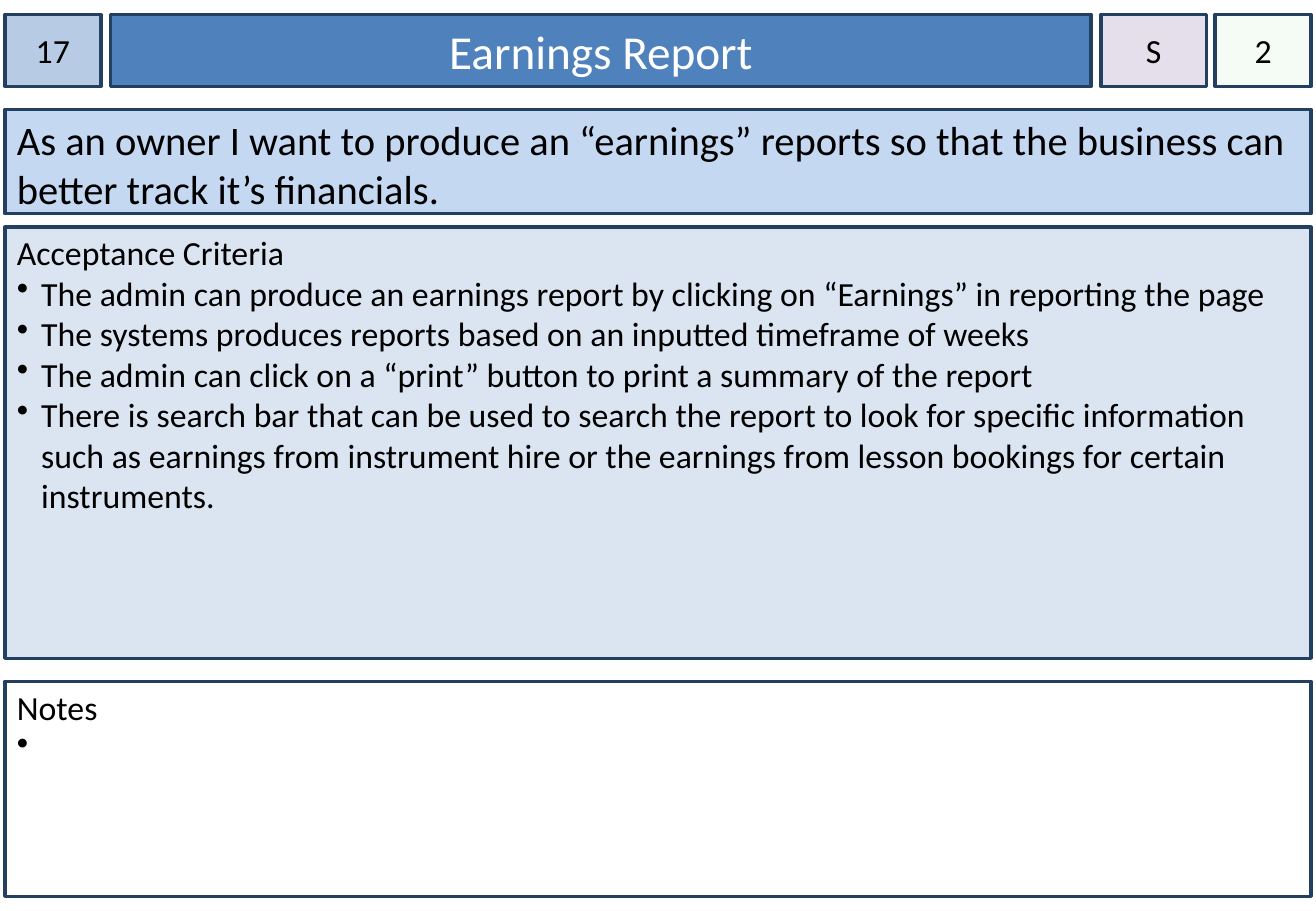
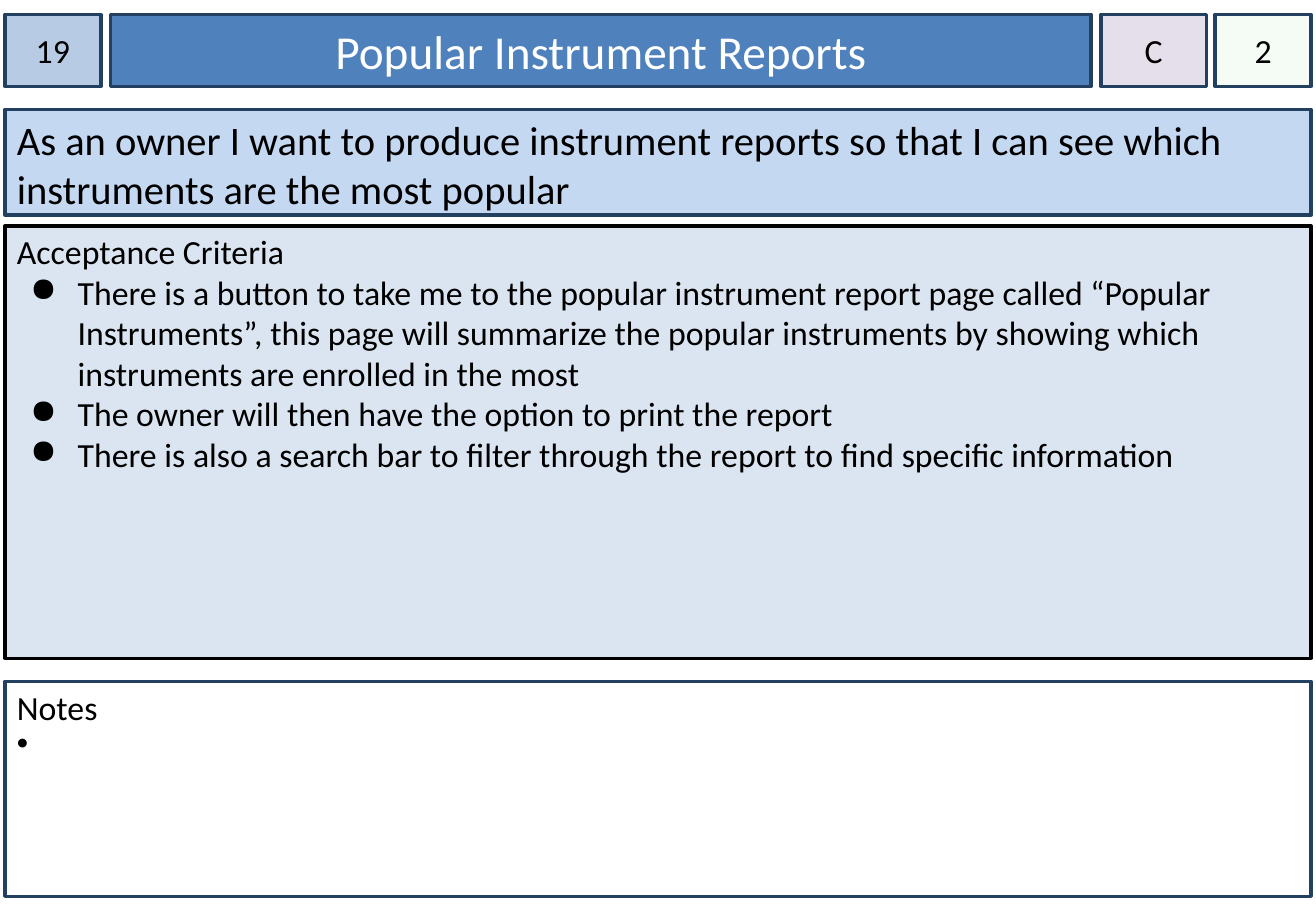
from lxml import etree
from pptx import Presentation
from pptx.dml.color import RGBColor
from pptx.enum.shapes import MSO_SHAPE
from pptx.enum.text import MSO_ANCHOR, PP_ALIGN
from pptx.oxml.ns import qn
from pptx.util import Pt

PX = 9144  # 100 px to the inch
RECTANGLE = MSO_SHAPE.RECTANGLE
LEFT, CENTER = PP_ALIGN.LEFT, PP_ALIGN.CENTER
TOP, MIDDLE = MSO_ANCHOR.TOP, MSO_ANCHOR.MIDDLE
FONT = "Calibri"
COLORS = {
    "number": "B7CCE4", "title": "4F81BD", "story": "C5D8F1",
    "criteria": "DAE5F1", "priority": "E5DFEC", "points": "CCF0CD",
    "white": "FFFFFF", "black": "000000", "navy": "244061",
}

# Shared card layout
EDGE, WIDTH = 4, 1075
HEADER_TOP, HEADER_HEIGHT = 12, 59
STORY_TOP, CRITERIA_BOTTOM = 90, 542
NOTES_TOP, NOTES_HEIGHT = 561, 177
NOTE_BULLET = ("•", 20, 20)  # character, text indent, hanging


def add_panel(page, place, fill, lines, size=20, color="black", line="navy",
              align=LEFT, anchor=TOP, side=10, top=5, bullet=None):
    """Add an outlined box; every line after the first takes the bullet."""
    box = page.shapes.add_shape(RECTANGLE, *[value * PX for value in place])
    box.shadow.inherit = False
    box.fill.solid()
    box.fill.fore_color.rgb = RGBColor.from_string(COLORS[fill])
    box.line.color.rgb = RGBColor.from_string(COLORS[line])
    box.line.width = Pt(2)
    frame = box.text_frame
    frame.word_wrap = True
    frame.vertical_anchor = anchor
    frame.margin_left = frame.margin_right = side * PX
    frame.margin_top, frame.margin_bottom = top * PX, 5 * PX
    for index, text in enumerate(lines):
        para = frame.paragraphs[0] if index == 0 else frame.add_paragraph()
        para.add_run().text = text
        para.alignment = align
        if index:
            add_bullet(para, *bullet)
        para.font.name = FONT
        para.font.size = Pt(size)
        para.font.color.rgb = RGBColor.from_string(COLORS[color])
    return box


def add_bullet(para, character, indent, hanging):
    properties = para._p.get_or_add_pPr()
    properties.set("marL", str(indent * PX))
    properties.set("indent", str(-hanging * PX))
    bullet_color = etree.SubElement(properties, qn("a:buClr"))
    etree.SubElement(bullet_color, qn("a:srgbClr"), val=COLORS["black"])
    etree.SubElement(properties, qn("a:buChar"), char=character)


CARDS = [
    {
        "number": "17", "title": "Earnings Report", "priority": "S", "points": "2",
        "story": "As an owner I want to produce an “earnings” reports so that "
                 "the business can better track it’s financials.",
        "story_height": 86, "criteria_top": 187, "criteria_line": "navy",
        "bullet": NOTE_BULLET,
        "criteria": [
            "The admin can produce an earnings report by clicking on “Earnings” "
            "in reporting the page",
            "The systems produces reports based on an inputted timeframe of weeks",
            "The admin can click on a “print” button to print a summary of the report",
            "There is search bar that can be used to search the report to look for "
            "specific information such as earnings from instrument hire or the "
            "earnings from lesson bookings for certain instruments.",
        ],
    },
    {
        "number": "19", "title": "Popular Instrument Reports", "priority": "C",
        "points": "2",
        "story": "As an owner I want to produce instrument reports so that I can "
                 "see which instruments are the most popular",
        "story_height": 87, "criteria_top": 186, "criteria_line": "black",
        "bullet": ("●", 50, 39),
        "criteria": [
            "There is a button to take me to the popular instrument report page "
            "called “Popular Instruments”, this page will summarize the popular "
            "instruments by showing which instruments are enrolled in the most",
            "The owner will then have the option to print the report",
            "There is also a search bar to filter through the report to find "
            "specific information",
        ],
    },
]

# Header cells: name, left, width, text size, text colour, side margin
HEADER = [
    ("number", EDGE, 79, 20, "black", 0),
    ("title", 91, 807, 28, "white", 10),
    ("priority", 906, 87, 20, "black", 0),
    ("points", 1000, 79, 20, "black", 0),
]

deck = Presentation()
deck.slide_width, deck.slide_height = 1083 * PX, 750 * PX

for card in CARDS:
    page = deck.slides.add_slide(deck.slide_layouts[6])

    # Header row
    for name, left, width, size, color, side in HEADER:
        cell = add_panel(page, (left, HEADER_TOP, width, HEADER_HEIGHT), name,
                         [card[name]], size, color, align=CENTER,
                         anchor=MIDDLE, side=side)
        if name == "points":
            tint = cell._element.spPr.find(qn("a:solidFill"))[0]
            etree.SubElement(tint, qn("a:alpha"), val="20000")

    # User story
    add_panel(page, (EDGE, STORY_TOP, WIDTH, card["story_height"]), "story",
              [card["story"]], size=24)

    # Acceptance criteria
    top = card["criteria_top"]
    add_panel(page, (EDGE, top, WIDTH, CRITERIA_BOTTOM - top), "criteria",
              ["Acceptance Criteria", *card["criteria"]],
              line=card["criteria_line"], top=4, bullet=card["bullet"])

    # Notes, with one open bullet
    add_panel(page, (EDGE, NOTES_TOP, WIDTH, NOTES_HEIGHT), "white",
              ["Notes", " "], top=4, bullet=NOTE_BULLET)

deck.save("out.pptx")
